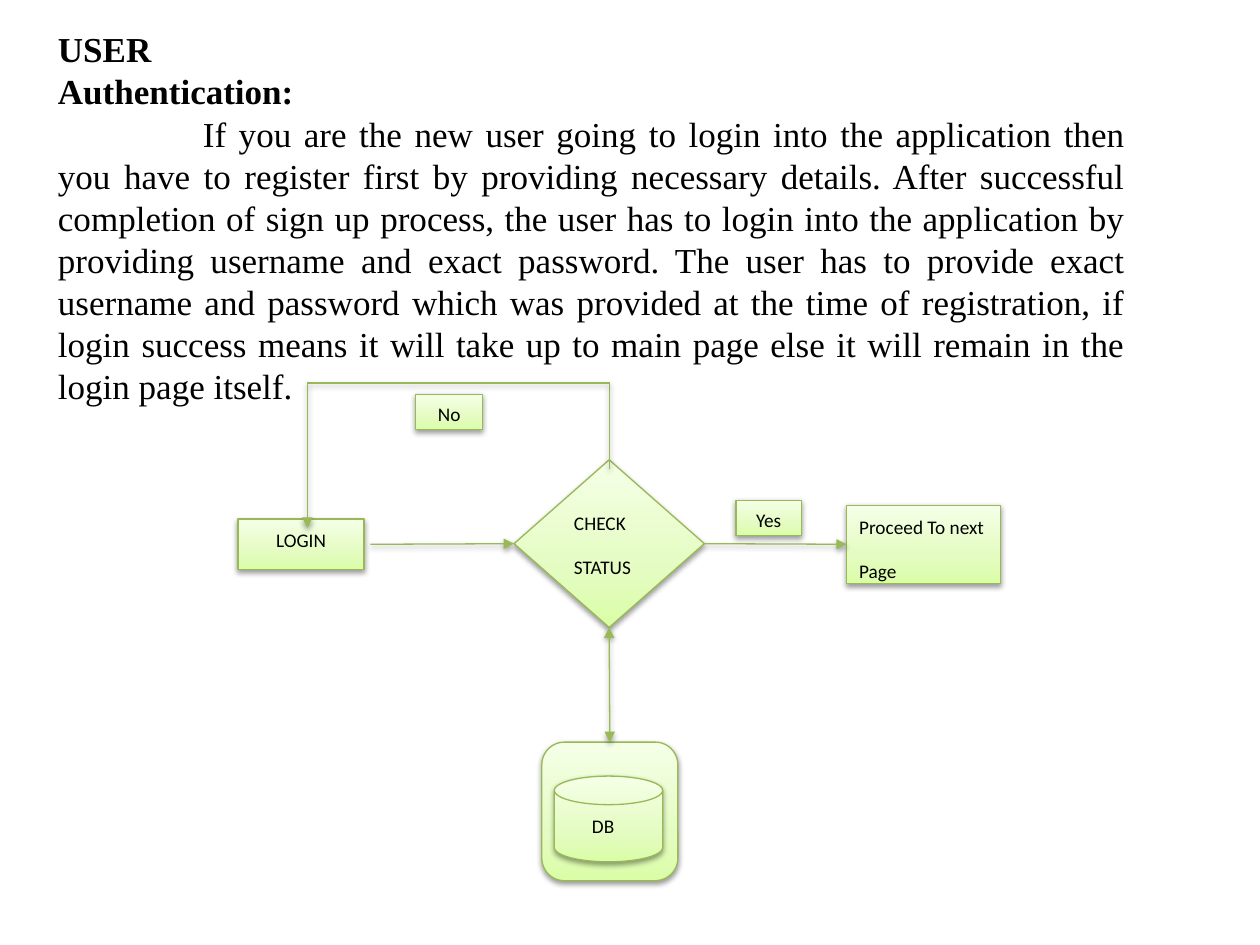
"""Build the user authentication slide with its login flowchart."""
from pptx import Presentation
from pptx.dml import color
from pptx.enum import shapes, text
from pptx.oxml import parse_xml
from pptx.oxml import ns
from pptx.util import Inches, Pt

INK = {"text": "000000", "line": "98B955", "low": "DAFDA7",
       "mid": "E4FCC2", "top": "F5FFE7"}
KIND = shapes.MSO_SHAPE
LEFT, MID = text.PP_ALIGN.LEFT, text.PP_ALIGN.CENTER
STORY = (
    "If you are the new user going to login into the application then you have "
    "to register first by providing necessary details. After successful "
    "completion of sign up process, the user has to login into the application "
    "by providing username and exact password. The user has to provide exact "
    "username and password which was provided at the time of registration, if "
    "login success means it will take up to main page else it will remain in "
    "the login page itself.")


def rgb(name):
    return color.RGBColor.from_string(INK[name])


def style(part, size, face, bold=False):
    for run in part.runs:
        run.font.size, run.font.name, run.font.bold = Pt(size), face, bold
        run.font.color.rgb = rgb("text")


def prose(holder, words, top, tall, bold=False, indent=0):
    holder.left, holder.top = Inches(0.36), Inches(top)
    holder.width, holder.height = Inches(8.67), Inches(tall)
    frame = holder.text_frame
    frame.text = words
    frame.word_wrap = True
    frame.auto_size = text.MSO_AUTO_SIZE.NONE
    frame.vertical_anchor = text.MSO_ANCHOR.TOP
    for part in frame.paragraphs:
        part.alignment = text.PP_ALIGN.JUSTIFY
        part.space_before = Pt(0)
        style(part, 20, "Times New Roman", bold)
        props = part._p.get_or_add_pPr()
        props.set("marL", "0")
        props.set("indent", str(Inches(indent)))
        props.append(parse_xml(f"<a:buNone {ns.nsdecls('a')}/>"))


def shade(props):
    old = props.find(ns.qn("a:effectLst"))
    if old is not None:
        props.remove(old)
    props.append(parse_xml(
        f'<a:effectLst {ns.nsdecls("a")}><a:outerShdw blurRad="40000" '
        'dist="20000" dir="5400000" rotWithShape="0"><a:srgbClr val="000000">'
        '<a:alpha val="38000"/></a:srgbClr></a:outerShdw></a:effectLst>'))


def blend(shape):
    shape.fill.gradient()
    shape.fill.gradient_angle = 90
    stops = shape.element.spPr.find(ns.qn("a:gradFill")).find(ns.qn("a:gsLst"))
    for stop in list(stops):
        stops.remove(stop)
    for spot, name in ((0, "low"), (35, "mid"), (100, "top")):
        stops.append(parse_xml(
            f'<a:gs {ns.nsdecls("a")} pos="{spot * 1000}">'
            f'<a:srgbClr val="{INK[name]}"/></a:gs>'))


def edge(item):
    item.line.color.rgb = rgb("line")
    item.line.width = Pt(0.75)


def node(slide, kind, place, words="", align=LEFT,
         anchor=text.MSO_ANCHOR.TOP, indent=0):
    shape = slide.shapes.add_shape(kind, *map(Inches, place))
    blend(shape)
    edge(shape)
    shape.shadow.inherit = False
    shade(shape.element.spPr)
    frame = shape.text_frame
    frame.text = words
    frame.vertical_anchor = anchor
    for part in frame.paragraphs:
        part.alignment = align
        part.line_spacing, part.space_after = 1.15, Pt(10)
        style(part, 11, "Calibri")
        if indent:
            part._p.get_or_add_pPr().set("indent", str(Inches(indent)))
    return shape


def link(slide, start, end, heads=(), begin=None, finish=None):
    line = slide.shapes.add_connector(
        shapes.MSO_CONNECTOR.STRAIGHT, *map(Inches, start + end))
    if begin:
        line.begin_connect(*begin)
    if finish:
        line.end_connect(*finish)
    edge(line)
    for head in heads:
        line.line._get_or_add_ln().append(parse_xml(
            f'<a:{head} {ns.nsdecls("a")} type="triangle"/>'))
    shade(line.element.spPr)


def chart(slide):
    node(slide, KIND.RECTANGLE, (1.89, 4.12, 1, 0.4), "LOGIN", MID)
    check = node(slide, KIND.DIAMOND, (4.08, 3.65, 1.51, 1.33), "CHECK\nSTATUS")
    page = node(slide, KIND.RECTANGLE, (6.72, 4.01, 1.22, 0.62),
                "Proceed To next\nPage")
    store = node(slide, KIND.ROUNDED_RECTANGLE, (4.3, 5.89, 1.08, 1.1))
    node(slide, KIND.FLOWCHART_MAGNETIC_DISK, (4.4, 6.16, 0.86, 0.68), "DB",
         indent=0.2)

    tail = ("tailEnd",)
    link(slide, (5.59, 4.32), (6.72, 4.32), tail, (check, 3), (page, 1))
    link(slide, (2.94, 4.32), (4.08, 4.32), tail, finish=(check, 1))
    link(slide, (4.83, 4.98), (4.83, 5.89), ("headEnd", "tailEnd"),
         (check, 2), (store, 0))
    loop = [(4.84, 3.72), (4.84, 3.04), (2.44, 3.04), (2.44, 4.19)]
    for start, end in zip(loop, loop[1:]):
        link(slide, start, end, tail if end == loop[-1] else ())

    middle = text.MSO_ANCHOR.MIDDLE
    node(slide, KIND.FLOWCHART_PROCESS, (5.84, 3.97, 0.52, 0.28), "Yes", MID,
         middle)
    node(slide, KIND.RECTANGLE, (3.3, 3.13, 0.53, 0.28), "No", MID, middle)


def main():
    deck = Presentation()
    deck.slide_width, deck.slide_height = Inches(10), Inches(7.5)
    slide = deck.slides.add_slide(deck.slide_layouts[1])
    prose(slide.shapes.title, "USER\nAuthentication:", 0.17, 0.77, bold=True)
    prose(slide.placeholders[1], STORY, 0.84, 2.46, indent=1.15)
    chart(slide)
    deck.save("out.pptx")


if __name__ == "__main__":
    main()
